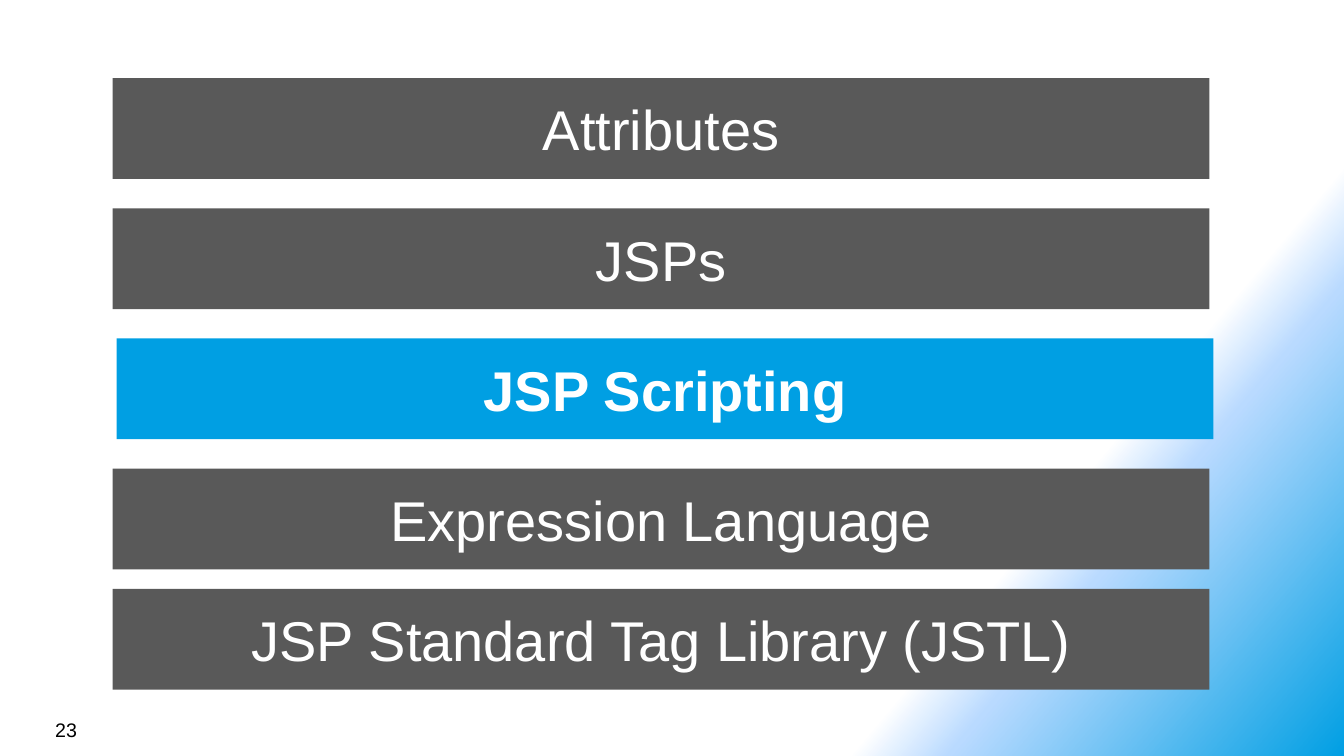
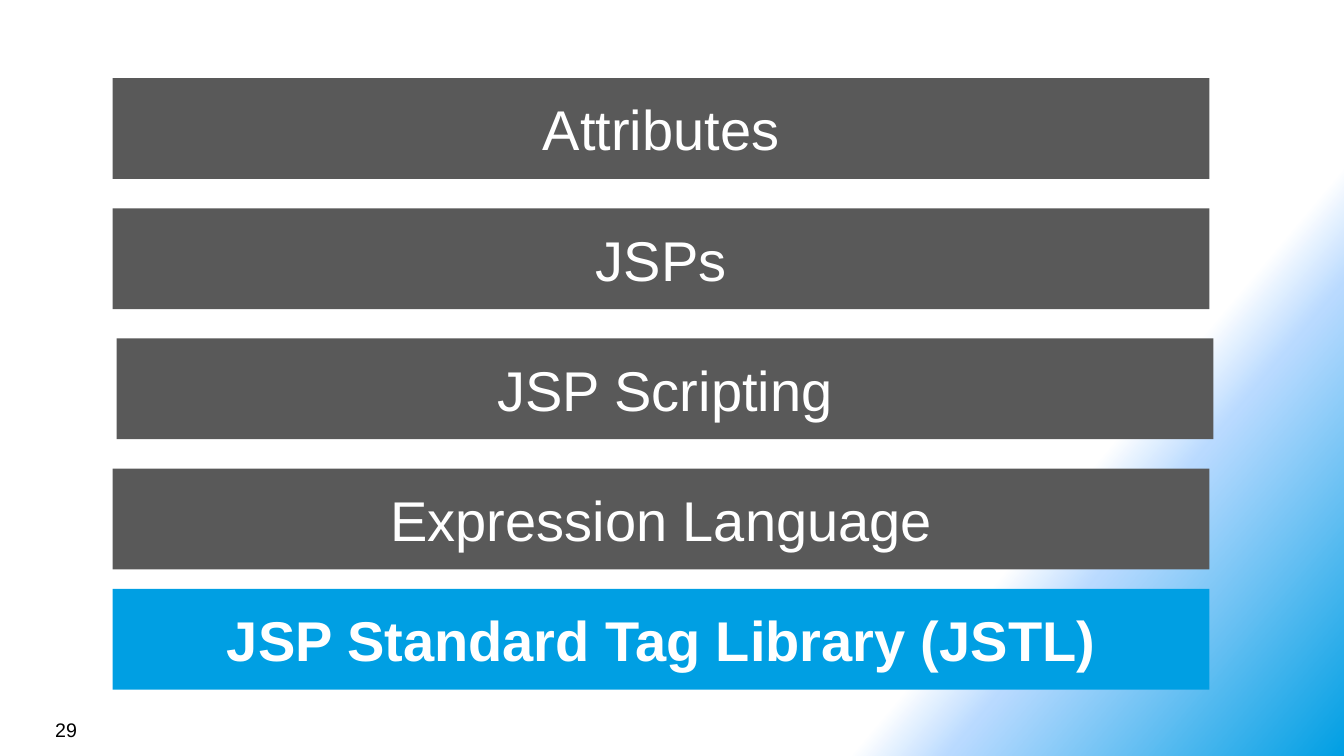
from dataclasses import dataclass

from lxml import etree
from pptx import Presentation
from pptx.dml.color import RGBColor
from pptx.enum import shapes, text
from pptx.oxml import ns
from pptx.util import Cm, Pt


@dataclass(frozen=True)
class Theme:
    font: str = "Arial"
    white: str = "FFFFFF"
    black: str = "000000"
    grey: str = "595959"
    blue: str = "009FE3"
    pale_blue: str = "B9DAFF"
    topic_size: int = 40
    number_size: int = 14


THEME = Theme()

BAR_LEFT, BAR_WIDTH, BAR_HEIGHT = 2.84, 27.64, 2.54
FIRST_TOP, PITCH = 1.97, 3.28
LAST_TOP = 14.84  # the last bar sits closer to the one above it
SCRIPTING_INDENT = 0.1

# topic, left, top
TOPICS = [
    ("Attributes", BAR_LEFT, FIRST_TOP),
    ("JSPs", BAR_LEFT, FIRST_TOP + PITCH),
    ("JSP Scripting", BAR_LEFT + SCRIPTING_INDENT, FIRST_TOP + 2 * PITCH),
    ("Expression Language", BAR_LEFT, FIRST_TOP + 3 * PITCH),
    ("JSP Standard Tag Library (JSTL)", BAR_LEFT, LAST_TOP),
]

# slide number, highlighted topic
AGENDAS = [
    (23, "JSP Scripting"),
    (29, "JSP Standard Tag Library (JSTL)"),
]


def set_background(master):
    """Give every slide the diagonal gradient through its master."""
    fill = master.background.fill
    fill.gradient()
    fill.gradient_angle = 320  # counter-clockwise: runs down to the right
    stops = master.element.find(".//" + ns.qn("a:gsLst"))
    for stop in list(stops):
        stops.remove(stop)
    for percent, color, alpha in [(75, THEME.white, 100),
                                  (80, THEME.pale_blue, 50),
                                  (100, THEME.blue, 100)]:
        stop = etree.SubElement(stops, ns.qn("a:gs"), pos=str(percent * 1000))
        rgb = etree.SubElement(stop, ns.qn("a:srgbClr"), val=color)
        if alpha < 100:
            etree.SubElement(rgb, ns.qn("a:alpha"), val=str(alpha * 1000))


def write(tf, content, *, size, color, bold=False,
          align=text.PP_ALIGN.LEFT, anchor=text.MSO_ANCHOR.TOP):
    tf.word_wrap = True
    tf.vertical_anchor = anchor
    p = tf.paragraphs[0]
    p.alignment = align
    r = p.add_run()
    r.text = content
    r.font.name = THEME.font
    r.font.size = Pt(size)
    r.font.bold = bold
    r.font.color.rgb = RGBColor.from_string(color)


def add_topic_bar(s, topic, left, top, highlighted):
    sp = s.shapes.add_shape(shapes.MSO_SHAPE.RECTANGLE, Cm(left), Cm(top),
                            Cm(BAR_WIDTH), Cm(BAR_HEIGHT))
    sp.shadow.inherit = False
    sp.line.fill.background()
    sp.fill.solid()
    sp.fill.fore_color.rgb = RGBColor.from_string(
        THEME.blue if highlighted else THEME.grey)
    write(sp.text_frame, topic, size=THEME.topic_size, color=THEME.white,
          bold=highlighted, align=text.PP_ALIGN.CENTER,
          anchor=text.MSO_ANCHOR.MIDDLE)


def add_slide_number(s, number):
    box = s.shapes.add_textbox(Cm(1.14), Cm(17.96), Cm(7.9), Cm(0.84))
    write(box.text_frame, str(number), size=THEME.number_size,
          color=THEME.black)


def add_agenda(prs, number, current):
    s = prs.slides.add_slide(prs.slide_layouts.get_by_name("Blank"))
    for topic, left, top in TOPICS:
        add_topic_bar(s, topic, left, top, highlighted=topic == current)
    add_slide_number(s, number)


def main():
    prs = Presentation()
    prs.slide_width, prs.slide_height = Cm(33.87), Cm(19.05)
    set_background(prs.slide_master)
    for number, current in AGENDAS:
        add_agenda(prs, number, current)
    prs.save("out.pptx")


if __name__ == "__main__":
    main()
